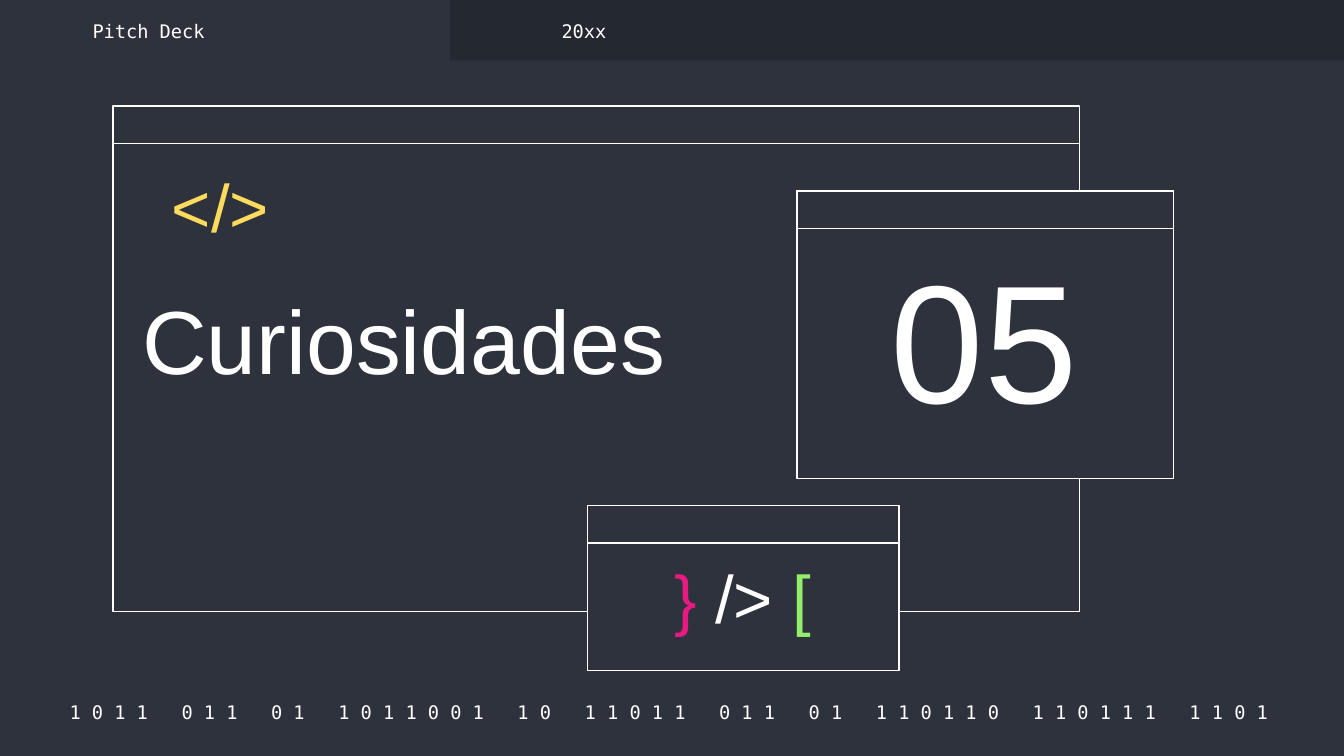
import pptx
import pptx.util
import pptx.dml.color
import pptx.enum.shapes
import pptx.enum.text

Inches, Pt = pptx.util.Inches, pptx.util.Pt
ALIGN = pptx.enum.text.PP_ALIGN
ANCHOR = pptx.enum.text.MSO_ANCHOR

COLORS = {
    "background": "2D323C",
    "tab_bar": "242830",
    "white": "FFFFFF",
    "yellow": "FFDB5D",
    "pink": "E81981",
    "green": "94EE6B",
}
SANS, MONO = "Arial", "DejaVu Sans Mono"
WIDTH = 10
HEIGHT = WIDTH * 9 / 16
BAR_HEIGHT = 0.28
BITS = "1011 011 01 1011001 10 11011 011 01 110110 110111 1101"


def rgb(name):
    return pptx.dml.color.RGBColor.from_string(COLORS[name])


def add_rect(shapes, x, y, w, h, fill, line=None):
    sp = shapes.add_shape(pptx.enum.shapes.MSO_SHAPE.RECTANGLE,
                          Inches(x), Inches(y), Inches(w), Inches(h))
    sp.shadow.inherit = False
    sp.fill.solid()
    sp.fill.fore_color.rgb = rgb(fill)
    if line:
        sp.line.color.rgb = rgb(line)
        sp.line.width = Pt(0.75)
    else:
        sp.line.fill.background()


def add_text(s, x, y, w, h, runs, size, font=SANS, align=ALIGN.LEFT,
             anchor=ANCHOR.TOP, spacing=None):
    """Add a one-paragraph text box; runs is a list of (text, color name)."""
    tf = s.shapes.add_textbox(Inches(x), Inches(y), Inches(w), Inches(h)).text_frame
    tf.word_wrap = True
    tf.vertical_anchor = anchor
    tf.margin_left = tf.margin_right = tf.margin_top = tf.margin_bottom = Inches(0.1)
    p = tf.paragraphs[0]
    p.alignment = align
    p.font.size = Pt(size)
    p.font.name = font
    if spacing:
        p.line_spacing = spacing
    for text, color in runs:
        r = p.add_run()
        r.text = text
        r.font.color.rgb = rgb(color)


def add_window(s, x, y, w, h):
    """Add an outlined window with a title bar, as one group."""
    shapes = s.shapes.add_group_shape().shapes
    for height in (h, BAR_HEIGHT):
        add_rect(shapes, x, y, w, height, "background", "white")


def add_tabs(s, x, y, w, h):
    add_rect(s.shapes, x + 3.35, y, w - 3.35, h, "tab_bar")
    for left, label in ((0.59, "Pitch Deck"), (4.08, "20xx")):
        add_text(s, x + left, y + 0.13, 2.19, 0.2, [(label, "white")], 10,
                 MONO, anchor=ANCHOR.MIDDLE)


def add_binary_footer(s, x, y, w, h):
    digits = "   ".join(" ".join(group) for group in BITS.split()) + " "
    add_text(s, x, y, w, h, [(digits, "white")], 10, MONO,
             ALIGN.CENTER, ANCHOR.MIDDLE)


def add_title_window(s, x, y, w, h):
    add_window(s, x, y, w, h)
    add_text(s, x + 0.12, y + 1.23, 4.97, 0.9, [("Curiosidades", "white")], 48)
    add_text(s, x + 0.08, y + 0.41, 1.18, 0.62, [("</>", "yellow")], 36,
             align=ALIGN.RIGHT, spacing=0.9)


def add_symbol_window(s, x, y, w, h):
    add_window(s, x, y, w, h)
    add_text(s, x + 0.49, y + 0.35, 1.33, 0.82,
             [("}", "pink"), (" /> ", "white"), ("[", "green")], 36,
             align=ALIGN.CENTER, spacing=0.9)


def add_number_window(s, x, y, w, h):
    add_window(s, x, y, w, h)
    add_text(s, x + 0.18, y + BAR_HEIGHT, 2.43, 1.65, [("05", "white")], 90,
             align=ALIGN.CENTER, anchor=ANCHOR.BOTTOM)


def main():
    prs = pptx.Presentation()
    prs.slide_width, prs.slide_height = Inches(WIDTH), Inches(HEIGHT)
    s = prs.slides.add_slide(prs.slide_layouts[6])
    s.background.fill.solid()
    s.background.fill.fore_color.rgb = rgb("background")

    add_binary_footer(s, 0.38, 5.2, 9.27, 0.2)
    add_tabs(s, 0, 0, WIDTH, 0.45)
    add_title_window(s, 0.84, 0.79, 7.19, 3.76)
    add_symbol_window(s, 4.37, 3.76, 2.32, 1.23)
    add_number_window(s, 5.93, 1.42, 2.8, 2.14)
    prs.save("out.pptx")


if __name__ == "__main__":
    main()
